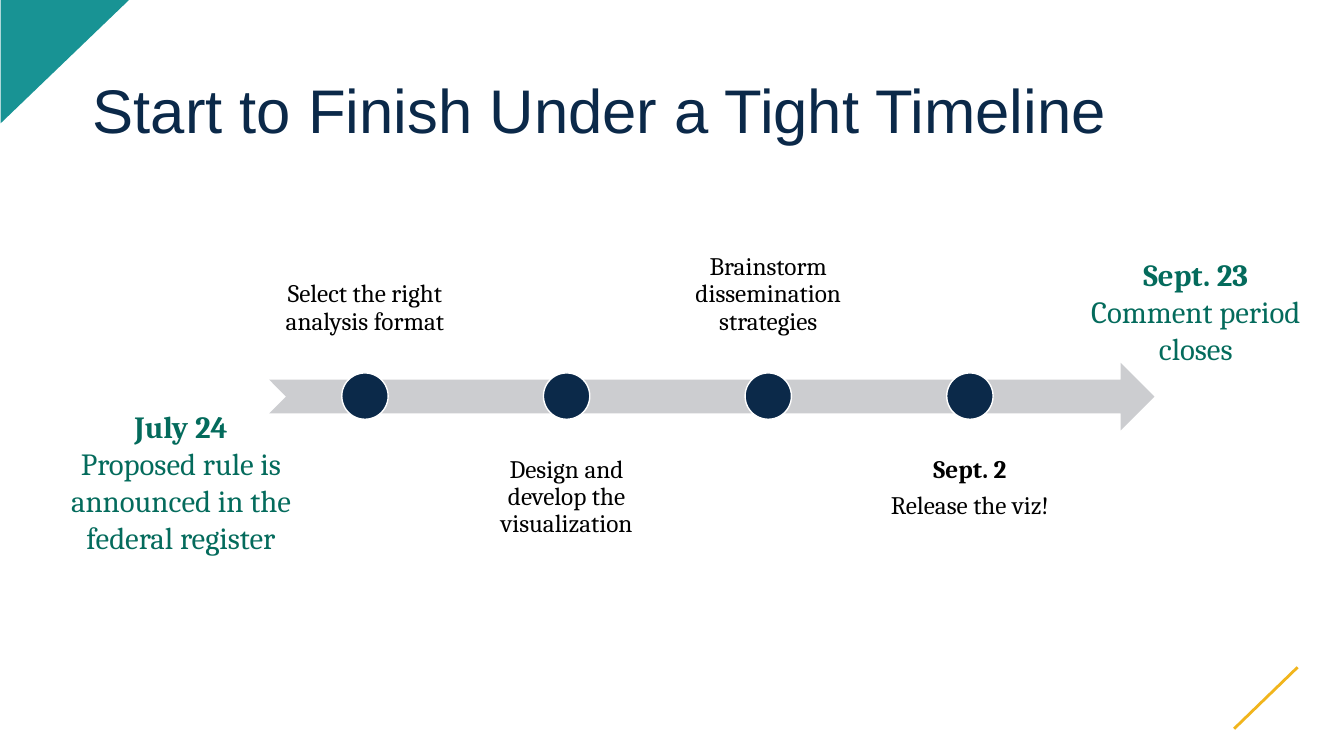
from dataclasses import dataclass
from typing import Optional

from lxml.etree import SubElement
from pptx import Presentation
from pptx.dml.color import RGBColor
from pptx.enum.shapes import MSO_CONNECTOR, MSO_SHAPE
from pptx.enum.text import MSO_ANCHOR, PP_ALIGN
from pptx.oxml.ns import qn
from pptx.shapes.autoshape import Shape
from pptx.slide import Slide
from pptx.text.text import TextFrame
from pptx.util import Inches, Pt

NAVY = RGBColor(0x0B, 0x29, 0x49)
TEAL = RGBColor(0x18, 0x93, 0x94)
GREEN = RGBColor(0x04, 0x6B, 0x5C)
GOLD = RGBColor(0xF1, 0xB5, 0x1C)
GREY = RGBColor(0xCC, 0xCD, 0xD0)
BLACK = RGBColor(0, 0, 0)
WHITE = RGBColor(0xFF, 0xFF, 0xFF)

STEP_LEFT = 2.67
STEP_PITCH = 2.0
STEP_WIDTH = 1.9
STEP_HEIGHT = 1.85
STEP_TOP_ABOVE = 1.62
STEP_TOP_BELOW = 4.39
DOT_SIZE = 0.46
DOT_TOP = 3.7


@dataclass
class Step:
    text: str
    date: Optional[str] = None


@dataclass
class Milestone:
    date: str
    text: str
    left: float
    top: float
    width: float
    height: float


STEPS = [
    Step("Select the right analysis format"),
    Step("Design and develop the visualization"),
    Step("Brainstorm dissemination strategies"),
    Step("Release the viz!", date="Sept. 2"),
]
MILESTONES = [
    Milestone("July 24", "Proposed rule is announced in the federal register",
              0.47, 4.0, 2.65, 1.58),
    Milestone("Sept. 23", "Comment period closes", 10.53, 2.49, 2.66, 1.21),
]


def add_filled_shape(page: Slide, kind: MSO_SHAPE, left: float, top: float,
                     width: float, height: float, color: RGBColor) -> Shape:
    shape = page.shapes.add_shape(kind, Inches(left), Inches(top),
                                  Inches(width), Inches(height))
    shape.shadow.inherit = False
    shape.fill.solid()
    shape.fill.fore_color.rgb = color
    shape.line.fill.background()
    return shape


def add_text_box(page: Slide, left: float, top: float,
                 width: float, height: float) -> TextFrame:
    box = page.shapes.add_textbox(Inches(left), Inches(top),
                                  Inches(width), Inches(height))
    box.text_frame.word_wrap = True
    return box.text_frame


def write_label(frame: TextFrame, date: Optional[str], text: str, size: float,
                color: RGBColor, line_spacing: float = 1.0,
                space_after: float = 0) -> None:
    """Write an optional bold date above a centred description."""
    lines = [(date, True), (text, False)] if date else [(text, False)]
    for index, (line, bold) in enumerate(lines):
        para = frame.add_paragraph() if index else frame.paragraphs[0]
        para.alignment = PP_ALIGN.CENTER
        para.line_spacing = line_spacing
        para.space_after = Pt(space_after)
        span = para.add_run()
        span.text = line
        span.font.name = "Cambria"
        span.font.size = Pt(size)
        span.font.bold = bold
        span.font.color.rgb = color


def add_corner_accents(page: Slide) -> None:
    triangle = add_filled_shape(page, MSO_SHAPE.RIGHT_TRIANGLE,
                                0.03, -0.03, 1.23, 1.28, TEAL)
    triangle.rotation = 90
    stroke = page.shapes.add_connector(MSO_CONNECTOR.STRAIGHT, Inches(12.24),
                                       Inches(7.23), Inches(12.87), Inches(6.62))
    stroke.line.color.rgb = GOLD
    stroke.line.width = Pt(2)
    SubElement(stroke._element.spPr, qn("a:effectLst"))


def write_title(page: Slide, text: str) -> None:
    title = page.shapes.title
    title.left, title.top = Inches(0.92), Inches(0.41)
    title.width, title.height = Inches(11.5), Inches(1.43)
    frame = title.text_frame
    frame.word_wrap = True
    frame.vertical_anchor = MSO_ANCHOR.MIDDLE
    frame.margin_left = frame.margin_right = 0
    frame.margin_top = frame.margin_bottom = 0
    para = frame.paragraphs[0]
    para.alignment = PP_ALIGN.LEFT
    para.line_spacing = 0.9
    span = para.add_run()
    span.text = text
    span.font.name = "Arial"
    span.font.size = Pt(44)
    span.font.color.rgb = NAVY


def add_step(page: Slide, index: int, step: Step) -> None:
    """Place a step on the arrow, alternating above and below it."""
    above = index % 2 == 0
    left = STEP_LEFT + index * STEP_PITCH
    frame = add_text_box(page, left, STEP_TOP_ABOVE if above else STEP_TOP_BELOW,
                         STEP_WIDTH, STEP_HEIGHT)
    frame.vertical_anchor = MSO_ANCHOR.BOTTOM if above else MSO_ANCHOR.TOP
    frame.margin_left = frame.margin_right = Inches(0.14)
    frame.margin_top = frame.margin_bottom = Inches(0.14)
    write_label(frame, step.date, step.text, 18, BLACK,
                line_spacing=0.9, space_after=6.3)
    dot = add_filled_shape(page, MSO_SHAPE.OVAL, left + (STEP_WIDTH - DOT_SIZE) / 2,
                           DOT_TOP, DOT_SIZE, DOT_SIZE, NAVY)
    dot.line.color.rgb = WHITE
    dot.line.width = Pt(1)


def main() -> None:
    deck = Presentation()
    deck.slide_width, deck.slide_height = Inches(13.33), Inches(7.5)
    page = deck.slides.add_slide(deck.slide_layouts.get_by_name("Title Only"))
    add_corner_accents(page)
    write_title(page, "Start to Finish Under a Tight Timeline")
    add_filled_shape(page, MSO_SHAPE.NOTCHED_RIGHT_ARROW,
                     2.67, 3.6, 8.78, 0.67, GREY)
    for index, step in enumerate(STEPS):
        add_step(page, index, step)
    for milestone in MILESTONES:
        frame = add_text_box(page, milestone.left, milestone.top,
                             milestone.width, milestone.height)
        write_label(frame, milestone.date, milestone.text, 22, GREEN)
    deck.save("out.pptx")


if __name__ == "__main__":
    main()
